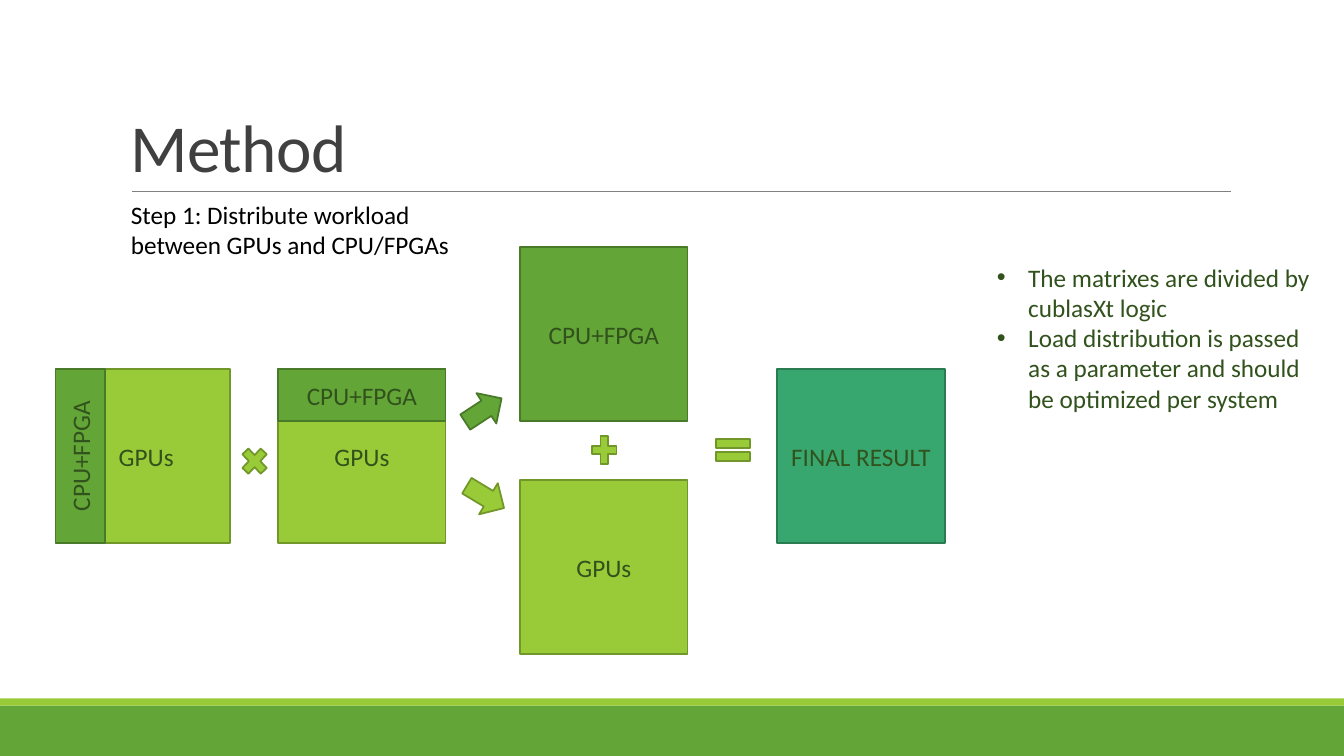
from pptx import Presentation
from pptx.dml.color import RGBColor
from pptx.enum.shapes import MSO_CONNECTOR, MSO_SHAPE
from pptx.enum.text import MSO_ANCHOR, PP_ALIGN
from pptx.oxml.ns import qn
from pptx.util import Inches, Pt

RECT, ARROW = MSO_SHAPE.RECTANGLE, MSO_SHAPE.RIGHT_ARROW
TIMES, PLUS, EQUAL = MSO_SHAPE.MATH_MULTIPLY, MSO_SHAPE.MATH_PLUS, MSO_SHAPE.MATH_EQUAL
TOP, MIDDLE, BOTTOM = MSO_ANCHOR.TOP, MSO_ANCHOR.MIDDLE, MSO_ANCHOR.BOTTOM
CENTER = PP_ALIGN.CENTER
STRAIGHT = MSO_CONNECTOR.STRAIGHT

GREEN, GREEN_EDGE = RGBColor(0x63, 0xA5, 0x37), RGBColor(0x49, 0x7A, 0x29)
LIME, LIME_EDGE = RGBColor(0x99, 0xCB, 0x38), RGBColor(0x71, 0x96, 0x29)
TEAL, TEAL_EDGE = RGBColor(0x37, 0xA7, 0x6F), RGBColor(0x29, 0x7C, 0x52)
FOREST = RGBColor(0x31, 0x52, 0x1C)
CHARCOAL = RGBColor(0x40, 0x40, 0x40)
GRAY = RGBColor(0x80, 0x80, 0x80)
BLACK = RGBColor(0, 0, 0)

prs = Presentation()
prs.slide_width, prs.slide_height = Inches(13.33), Inches(7.5)
slide = prs.slides.add_slide(prs.slide_layouts[6])


def write(frame, lines, size, color, frame_format, paragraph_format, bullet=False):
    for name, value in frame_format.items():
        setattr(frame, name, value)
    for i, line in enumerate(lines):
        paragraph = frame.paragraphs[0] if i == 0 else frame.add_paragraph()
        paragraph.text = line
        for name, value in paragraph_format.items():
            setattr(paragraph, name, value)
        if bullet:
            props = paragraph._p.get_or_add_pPr()
            props.set("marL", str(Inches(0.31)))
            props.set("indent", str(-Inches(0.31)))
            for tag, key, value in (("a:buFont", "typeface", "Arial"), ("a:buChar", "char", "•")):
                props.makeelement(qn(tag))
                mark = props.makeelement(qn(tag), {key: value})
                props.append(mark)
        for run in paragraph.runs:
            for name, value in {"name": "Calibri", "size": Pt(size)}.items():
                setattr(run.font, name, value)
            run.font.color.rgb = color


def add_block(kind, box, fill, edge=None, label=None, angle=0):
    block = slide.shapes.add_shape(kind, *map(Inches, box))
    block.shadow.inherit = False
    block.rotation = angle
    block.fill.solid()
    block.fill.fore_color.rgb = fill
    if edge is None:
        block.line.fill.background()
    else:
        block.line.color.rgb = edge
        block.line.width = Pt(1.25)
    if label:
        write(block.text_frame, [label], 18, FOREST,
              {"word_wrap": True, "vertical_anchor": MIDDLE}, {"alignment": CENTER})


# Footer bands and title rule
add_block(RECT, (0, 7, 13.33, 0.5), GREEN)
add_block(RECT, (0, 6.93, 13.33, 0.07), LIME)
rule = slide.shapes.add_connector(STRAIGHT, Inches(1.31), Inches(1.9), Inches(12.21), Inches(1.9))
rule.line.color.rgb = GRAY
rule.line.width = Pt(0.5)
rule_props = rule._element.spPr
rule_props.append(rule_props.makeelement(qn("a:effectLst")))

# Title
title = slide.shapes.add_textbox(Inches(1.2), Inches(0.31), Inches(11), Inches(1.59))
write(title.text_frame, ["Method"], 48, CHARCOAL,
      {"word_wrap": True, "vertical_anchor": BOTTOM}, {"line_spacing": 0.85})
title.text_frame.paragraphs[0].runs[0]._r.get_or_add_rPr().set("spc", "-50")

# Notes on how the load is split
remarks = slide.shapes.add_textbox(Inches(9.79), Inches(2.55), Inches(3.4), Inches(1.92))
write(remarks.text_frame,
      ["The matrixes are divided by\vcublasXt logic",
       "Load distribution is passed\vas a parameter and should\vbe optimized per system"],
      18, FOREST, {"word_wrap": False, "vertical_anchor": TOP}, {}, bullet=True)

# Matrices and their CPU+FPGA shares
WIDTH, HEIGHT, ROW = 1.66, 1.73, 3.66
for left, top, fill, edge, label in (
    (0.62, ROW, LIME, LIME_EDGE, "GPUs"),
    (2.76, ROW, LIME, LIME_EDGE, "GPUs"),
    (5.16, 2.45, GREEN, GREEN_EDGE, "CPU+FPGA"),
    (5.16, 4.76, LIME, LIME_EDGE, "GPUs"),
    (7.71, ROW, TEAL, TEAL_EDGE, "FINAL RESULT"),
):
    add_block(RECT, (left, top, WIDTH, HEIGHT), fill, edge, label)
add_block(RECT, (2.76, ROW, WIDTH, 0.52), GREEN, GREEN_EDGE, "CPU+FPGA")
add_block(RECT, (-0.07, 4.28, HEIGHT, 0.49), GREEN, GREEN_EDGE, "CPU+FPGA", angle=270)

# Operators and arrows
for kind, box, fill, edge, angle in (
    (TIMES, (2.35, 4.39, 0.35, 0.37), LIME, LIME_EDGE, 0),
    (PLUS, (5.83, 4.28, 0.33, 0.37), LIME, LIME_EDGE, 0),
    (EQUAL, (7.04, 4.28, 0.46, 0.37), LIME, LIME_EDGE, 0),
    (ARROW, (4.58, 3.89, 0.43, 0.36), GREEN, GREEN_EDGE, 326.8),
    (ARROW, (4.6, 4.75, 0.43, 0.36), LIME, LIME_EDGE, 31),
):
    add_block(kind, box, fill, edge, angle=angle)

# Step heading
step = slide.shapes.add_textbox(Inches(1.2), Inches(1.93), Inches(3.67), Inches(0.71))
write(step.text_frame, ["Step 1: Distribute workload between GPUs and CPU/FPGAs"], 18, BLACK,
      {"word_wrap": True, "vertical_anchor": TOP}, {})

prs.save("out.pptx")
